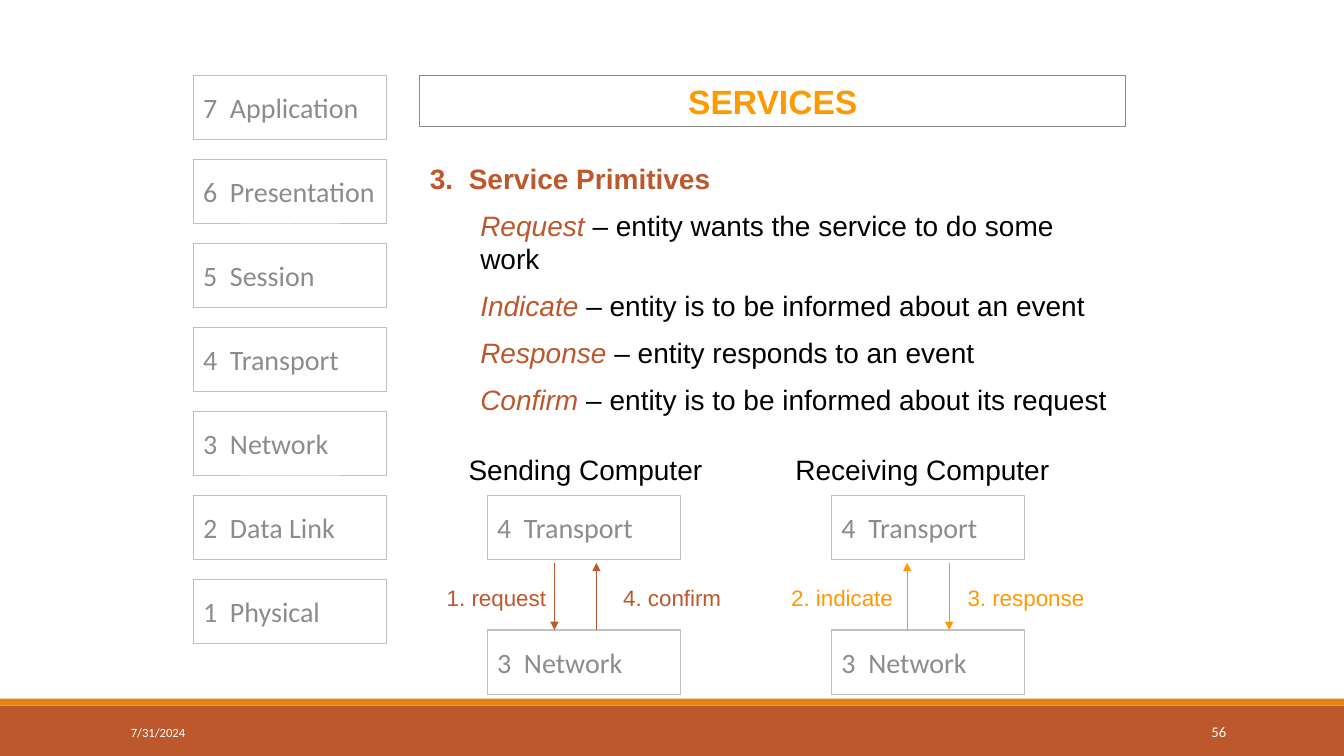
from dataclasses import dataclass

from lxml import etree
from pptx import Presentation
from pptx.dml.color import RGBColor
from pptx.enum.shapes import MSO_CONNECTOR, MSO_SHAPE
from pptx.enum.text import MSO_ANCHOR, PP_ALIGN
from pptx.oxml.ns import qn
from pptx.slide import Slide
from pptx.text.text import TextFrame
from pptx.util import Pt

RECTANGLE = MSO_SHAPE.RECTANGLE
STRAIGHT = MSO_CONNECTOR.STRAIGHT
TOP, MIDDLE = MSO_ANCHOR.TOP, MSO_ANCHOR.MIDDLE
LEFT, CENTER, RIGHT = PP_ALIGN.LEFT, PP_ALIGN.CENTER, PP_ALIGN.RIGHT


@dataclass(frozen=True)
class Theme:
    rust: str = "BD582C"
    orange: str = "E48312"
    amber: str = "FF9900"
    gray: str = "8C8C8C"
    border: str = "C0C0C0"
    black: str = "000000"
    white: str = "FFFFFF"
    heading_font: str = "Arial"
    layer_font: str = "Calibri"
    title_size: float = 24
    body_size: float = 20
    label_size: float = 16
    number_size: float = 10.5
    date_size: float = 9
    line_width: float = 0.75


THEME = Theme()


@dataclass(frozen=True)
class Box:
    left: float
    top: float
    width: float
    height: float


@dataclass(frozen=True)
class Style:
    size: float
    color: str
    font: str = THEME.heading_font
    bold: bool = False
    italic: bool = False


@dataclass(frozen=True)
class Message:
    label: str
    arrow_left: float
    label_offset: float
    downward: bool


@dataclass(frozen=True)
class Computer:
    name: str
    name_left: float
    stack_left: float
    color: str
    messages: tuple[Message, ...]


LAYERS = ("7  Application", "6  Presentation", "5  Session", "4  Transport",
          "3  Network", "2  Data Link", "1  Physical")
LAYER_LEFT, LAYER_TOP, LAYER_PITCH = 138, 54, 60
LAYER_WIDTH, LAYER_HEIGHT = 138, 46
TRANSPORT_TOP, NETWORK_TOP = 354, 450
ARROW_TOP, ARROW_BOTTOM = 402, 450

PRIMITIVES = (
    ("Request", " – entity wants the service to do some work"),
    ("Indicate", " – entity is to be informed about an event"),
    ("Response", " – entity responds to an event"),
    ("Confirm", " – entity is to be informed about its request"),
)
COMPUTERS = (
    Computer("Sending Computer", 327.6, 348, THEME.rust, (
        Message("1. request", 396, -36, True),
        Message("4. confirm", 426, 90, False))),
    Computer("Receiving Computer", 561, 594, THEME.amber, (
        Message("2. indicate", 648, -36, False),
        Message("3. response", 678, 90, True))),
)


def color_of(value: str) -> RGBColor:
    return RGBColor.from_string(value)


def add_run(paragraph, text: str, style: Style) -> None:
    run = paragraph.add_run()
    run.text = text
    font = run.font
    font.name, font.size = style.font, Pt(style.size)
    font.bold, font.italic = style.bold, style.italic
    font.color.rgb = color_of(style.color)


def place(shape, box: Box) -> None:
    shape.left, shape.top = Pt(box.left), Pt(box.top)
    shape.width, shape.height = Pt(box.width), Pt(box.height)


def add_text(slide: Slide, box: Box, text: str, style: Style, wrap: bool = False,
             anchor=TOP, alignment=LEFT) -> TextFrame:
    shape = slide.shapes.add_textbox(0, 0, 0, 0)
    place(shape, box)
    frame = shape.text_frame
    frame.word_wrap, frame.vertical_anchor = wrap, anchor
    frame.paragraphs[0].alignment = alignment
    add_run(frame.paragraphs[0], text, style)
    return frame


def add_bar(slide: Slide, box: Box, color: str) -> None:
    bar = slide.shapes.add_shape(RECTANGLE, 0, 0, 0, 0)
    place(bar, box)
    bar.shadow.inherit = False
    bar.fill.solid()
    bar.fill.fore_color.rgb = color_of(color)
    bar.line.fill.background()


def add_layer(slide: Slide, left: float, top: float, text: str) -> None:
    shape = slide.shapes.add_shape(RECTANGLE, 0, 0, 0, 0)
    place(shape, Box(left, top, LAYER_WIDTH, LAYER_HEIGHT))
    shape.shadow.inherit = False
    shape.fill.background()
    shape.line.color.rgb = color_of(THEME.border)
    shape.line.width = Pt(THEME.line_width)
    frame = shape.text_frame
    frame.word_wrap, frame.vertical_anchor = True, TOP
    frame.margin_top = frame.margin_bottom = Pt(10.8)
    frame.paragraphs[0].alignment = LEFT
    add_run(frame.paragraphs[0], text, Style(THEME.body_size, THEME.gray, THEME.layer_font))


def add_arrow(slide: Slide, left: float, downward: bool, color: str) -> None:
    start, end = (ARROW_TOP, ARROW_BOTTOM) if downward else (ARROW_BOTTOM, ARROW_TOP)
    arrow = slide.shapes.add_connector(STRAIGHT, Pt(left), Pt(start), Pt(left), Pt(end))
    arrow.line.color.rgb = color_of(color)
    arrow.line.width = Pt(THEME.line_width)
    etree.SubElement(arrow.line._get_or_add_ln(), qn("a:tailEnd"), type="triangle")
    etree.SubElement(arrow._element.spPr, qn("a:effectLst"))


def add_title(slide: Slide, text: str) -> None:
    title = slide.shapes.title
    place(title, Box(300, 54, 504, 36.7))
    title.line.color.rgb = color_of(THEME.gray)
    title.line.width = Pt(THEME.line_width)
    title.text_frame.vertical_anchor = MIDDLE
    paragraph = title.text_frame.paragraphs[0]
    paragraph.alignment = CENTER
    add_run(paragraph, text, Style(THEME.title_size, THEME.amber, bold=True))


def add_primitives(slide: Slide) -> None:
    frame = add_text(slide, Box(300, 112.5, 504, 200), "3.  Service Primitives",
                     Style(THEME.body_size, THEME.rust, bold=True), wrap=True)
    for name, meaning in PRIMITIVES:
        paragraph = frame.add_paragraph()
        paragraph.space_before = Pt(10)
        paragraph._p.get_or_add_pPr().set("marL", str(Pt(36)))
        add_run(paragraph, name, Style(THEME.body_size, THEME.rust, italic=True))
        add_run(paragraph, meaning, Style(THEME.body_size, THEME.black))
    for paragraph in frame.paragraphs:
        paragraph.line_spacing = Pt(23.5)


def add_computer(slide: Slide, computer: Computer) -> None:
    add_text(slide, Box(computer.name_left, 320, 200, 30), computer.name,
             Style(THEME.body_size, THEME.black), wrap=True)
    add_layer(slide, computer.stack_left, TRANSPORT_TOP, "4  Transport")
    add_layer(slide, computer.stack_left, NETWORK_TOP, "3  Network")
    for message in computer.messages:
        add_arrow(slide, message.arrow_left, message.downward, computer.color)
        label_box = Box(computer.stack_left + message.label_offset, 414, 98, 26.6)
        add_text(slide, label_box, message.label,
                 Style(THEME.label_size, computer.color), wrap=True)


def main() -> None:
    presentation = Presentation()
    presentation.slide_width, presentation.slide_height = Pt(960), Pt(540)
    slide = presentation.slides.add_slide(presentation.slide_layouts.get_by_name("Title Only"))
    add_bar(slide, Box(0, 504, 960, 36), THEME.rust)
    add_bar(slide, Box(0, 499, 960, 5), THEME.orange)
    add_title(slide, "SERVICES")
    for index, layer in enumerate(LAYERS):
        add_layer(slide, LAYER_LEFT, LAYER_TOP + index * LAYER_PITCH, layer)
    add_primitives(slide)
    for computer in COMPUTERS:
        add_computer(slide, computer)
    add_text(slide, Box(86.4, 508.5, 194.4, 28.8), "7/31/2024",
             Style(THEME.date_size, THEME.white, THEME.layer_font), True, MIDDLE)
    add_text(slide, Box(780, 508.5, 103, 28.8), "56",
             Style(THEME.number_size, THEME.white, THEME.layer_font), True, MIDDLE, RIGHT)
    presentation.save("out.pptx")


if __name__ == "__main__":
    main()
